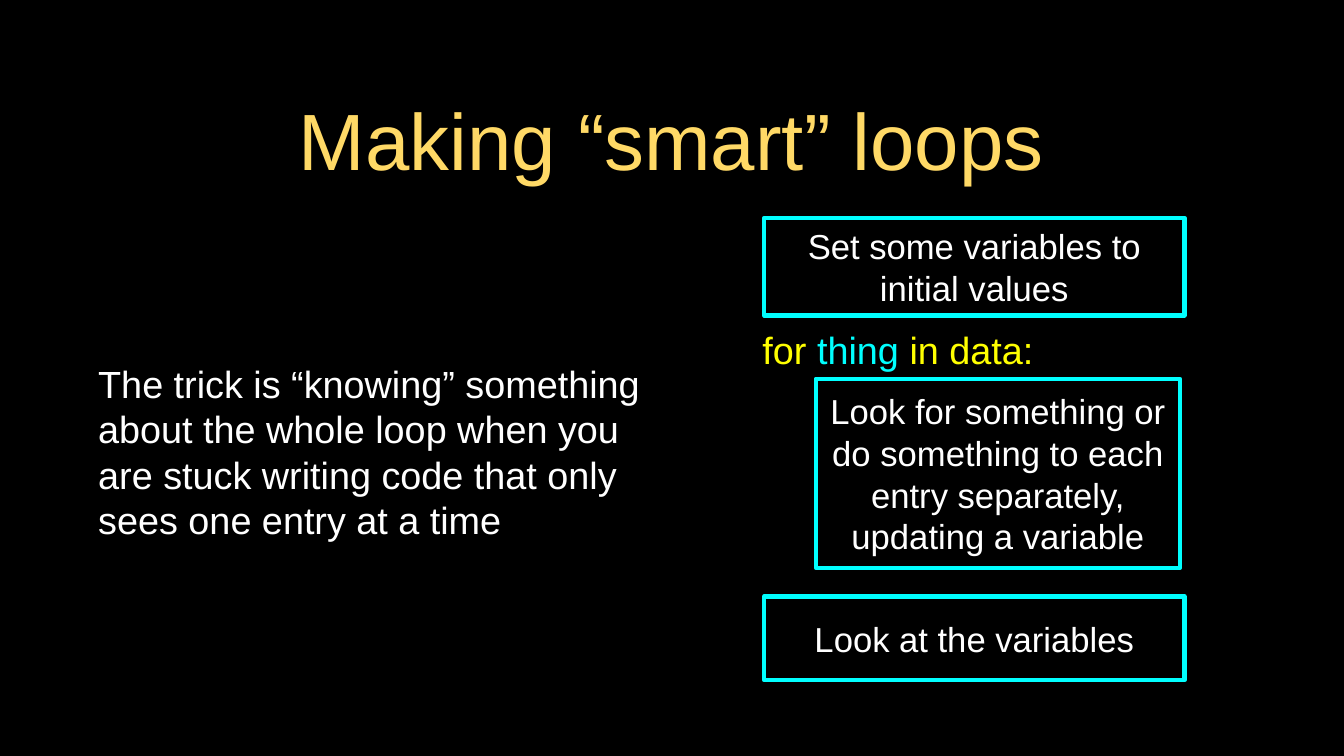
from pptx import Presentation, util as u
from pptx.dml.color import RGBColor
from pptx.enum import shapes, text

FONT = "Arial"
BLACK, WHITE, GOLD = "000000", "FFFFFF", "FFD966"
CYAN, YELLOW = "00FFFF", "FFFF00"
LEFT, CENTER = text.PP_ALIGN.LEFT, text.PP_ALIGN.CENTER


def color(value):
    return RGBColor.from_string(value)


def write(shape, runs, size, align, inset=0):
    """Fill a shape with one paragraph of (wording, colour) runs."""
    frame = shape.text_frame
    frame.word_wrap = True
    frame.vertical_anchor = text.MSO_ANCHOR.MIDDLE
    frame.margin_left = frame.margin_right = u.Cm(inset)
    frame.margin_top = frame.margin_bottom = u.Cm(inset)
    paragraph = frame.paragraphs[0]
    paragraph.alignment = align
    for wording, run_color in runs:
        run = paragraph.add_run()
        run.text = wording
        run.font.name = FONT
        run.font.size = u.Pt(size)
        run.font.color.rgb = color(run_color)


def add_label(slide, box, runs, size, align=CENTER, inset=0):
    shape = slide.shapes.add_textbox(*map(u.Cm, box))
    write(shape, runs, size, align, inset)


def add_step(slide, box, wording):
    shape = slide.shapes.add_shape(shapes.MSO_SHAPE.RECTANGLE, *map(u.Cm, box))
    shape.shadow.inherit = False
    shape.fill.background()
    shape.line.color.rgb = color(CYAN)
    shape.line.width = u.Pt(4)
    write(shape, [(wording, WHITE)], 33, CENTER)


def main():
    presentation = Presentation()
    presentation.slide_width = u.Cm(45.16)
    presentation.slide_height = u.Cm(25.4)
    slide = presentation.slides.add_slide(presentation.slide_layouts[6])
    slide.background.fill.solid()
    slide.background.fill.fore_color.rgb = color(BLACK)

    # Title and explanation
    add_label(slide, (3.2, 2.26, 38.71, 4.78),
              [("Making “smart” loops", GOLD)], 76, inset=0.1)
    add_label(slide, (3.2, 7.24, 19.02, 15.85),
              [("The trick is “knowing” something about the whole loop when "
                "you are stuck writing code that only sees one entry at a time",
                WHITE)], 36, LEFT, inset=0.1)

    # Loop pattern: before, during and after
    step_left, step_width = 25.68, 14.12
    add_step(slide, (step_left, 7.32, step_width, 3.28),
             "Set some variables to initial values")
    add_label(slide, (25.45, 10.87, 9.45, 1.73),
              [("for ", YELLOW), ("thing", CYAN), (" in data:", YELLOW)], 36)
    add_step(slide, (27.41, 12.73, 12.24, 6.35),
             "Look for something or do something to each entry separately, "
             "updating a variable")
    add_step(slide, (step_left, 20.04, step_width, 2.82),
             "Look at the variables")

    presentation.save("out.pptx")


if __name__ == "__main__":
    main()
